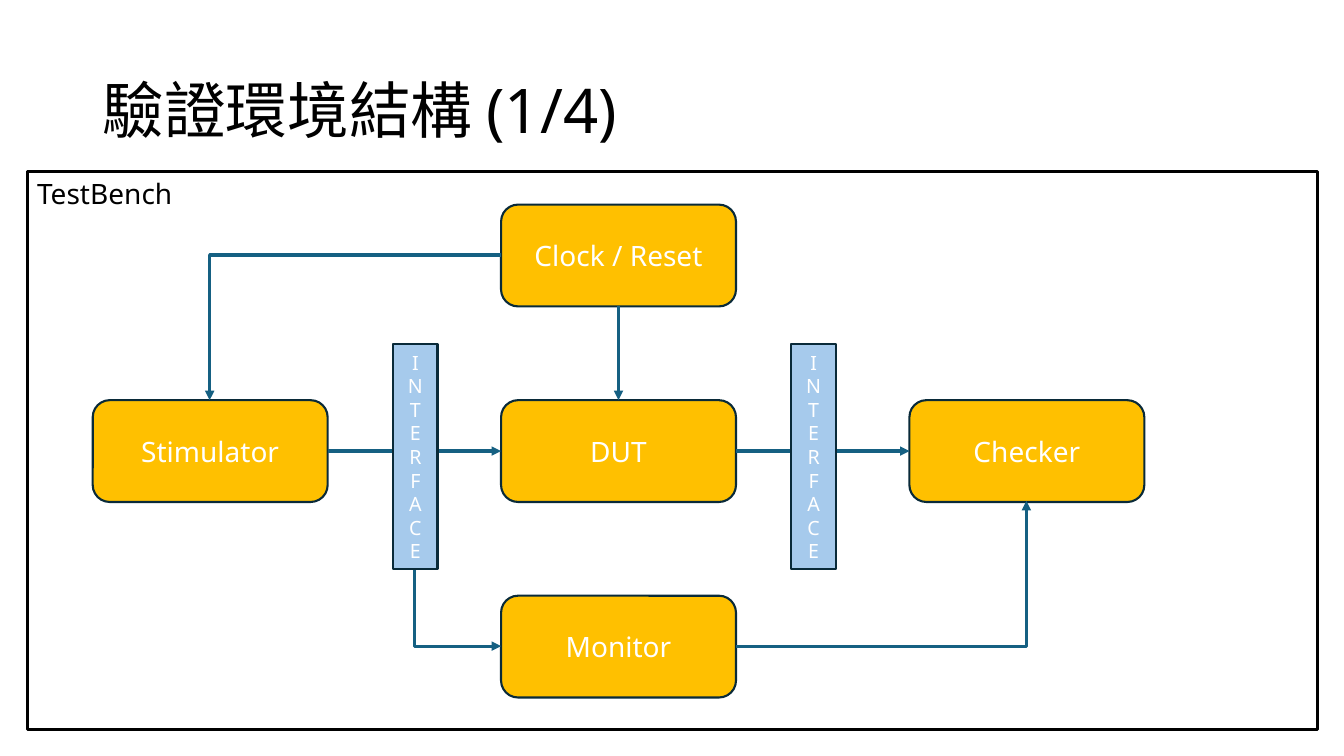
"""Build the slide on the structure of a verification environment."""
import pptx
import pptx.util
import pptx.dml.color
import pptx.enum.shapes
import pptx.enum.text
import pptx.oxml
import pptx.oxml.ns

Inches, Pt = pptx.util.Inches, pptx.util.Pt
RGB = pptx.dml.color.RGBColor.from_string
Kind = pptx.enum.shapes.MSO_SHAPE
Link = pptx.enum.shapes.MSO_CONNECTOR
Align, Anchor = pptx.enum.text.PP_ALIGN, pptx.enum.text.MSO_ANCHOR
Fit = pptx.enum.text.MSO_AUTO_SIZE

THEME = {
    "font": "Noto Sans", "black": "000000", "white": "FFFFFF",
    "block": "FFC000", "port": "A6CAEC", "edge": "092A39", "wire": "156082",
    "title": 44, "body": 20, "small": 14, "thick": 2.25, "thin": 1.5,
}

deck = pptx.Presentation()
deck.slide_width, deck.slide_height = Inches(13.33), Inches(7.5)
slide = deck.slides.add_slide(deck.slide_layouts[6])


def write(shape, text, size, color, align, anchor, fit=Fit.NONE):
    """Fill a shape with text in one format."""
    frame = shape.text_frame
    frame.text = text
    for name, value in {"word_wrap": True, "auto_size": fit,
                        "vertical_anchor": anchor}.items():
        setattr(frame, name, value)
    for para in frame.paragraphs:
        para.alignment = align
        font = para.runs[0].font
        for name, value in {"name": THEME["font"], "size": Pt(THEME[size])}.items():
            setattr(font, name, value)
        font.color.rgb = RGB(THEME[color])


def draw(kind, place, fill, edge, width):
    """Add a flat shape; no fill color leaves it clear."""
    shape = slide.shapes.add_shape(kind, *map(Inches, place))
    shape.shadow.inherit = False
    if fill:
        shape.fill.solid()
        shape.fill.fore_color.rgb = RGB(THEME[fill])
    else:
        shape.fill.background()
    shape.line.color.rgb = RGB(THEME[edge])
    shape.line.width = Pt(THEME[width])
    return shape


bench = draw(Kind.RECTANGLE, (0.27, 1.7, 12.8, 5.54), None, "black", "thick")
write(bench, "TestBench", "body", "black", Align.LEFT, Anchor.TOP)

title = slide.shapes.add_textbox(*map(Inches, (0.92, 0.4, 11.5, 1.45)))
write(title, "驗證環境結構 (1/4)", "title", "black", Align.LEFT, Anchor.MIDDLE)
title.text_frame.paragraphs[0].line_spacing = 0.9

left, top, step, rise = 0.92, 2.03, 4.05, 1.94
blocks = {}
for name, col, row in (("Clock / Reset", 1, 0), ("Stimulator", 0, 1), ("DUT", 1, 1),
                       ("Checker", 2, 1), ("Monitor", 1, 2)):
    place = (left + col * step, top + row * rise, 2.33, 1.01)
    blocks[name] = draw(Kind.ROUNDED_RECTANGLE, place, "block", "edge", "thin")
    write(blocks[name], name, "body", "white", Align.CENTER, Anchor.MIDDLE)

wires = []
for start, exit, stop, entry in (("Clock / Reset", 2, "DUT", 0),
                                 ("Stimulator", 3, "DUT", 1),
                                 ("DUT", 3, "Checker", 1)):
    wire = slide.shapes.add_connector(Link.STRAIGHT, 0, 0, 0, 0)
    wire.begin_connect(blocks[start], exit)
    wire.end_connect(blocks[stop], entry)
    wires.append(wire)

for ends, turn in (((5.51, 5.01, 3.57, 5.87), 270),
                   ((4.97, 2.53, 2.08, 3.97), 0),
                   ((7.3, 6.41, 10.18, 4.97), 0)):
    wire = slide.shapes.add_connector(Link.ELBOW, *map(Inches, ends))
    props = wire._element.spPr
    props.find(pptx.oxml.ns.qn("a:prstGeom")).set("prst", "bentConnector2")
    if turn:
        props.find(pptx.oxml.ns.qn("a:xfrm")).set("rot", str(turn * 60000))
    wires.append(wire)

for wire in wires:
    wire.line.color.rgb = RGB(THEME["wire"])
    wire.line.width = Pt(THEME["thick"])
    head = pptx.oxml.parse_xml(f'<a:tailEnd {pptx.oxml.ns.nsdecls("a")} type="triangle"/>')
    wire.line._get_or_add_ln().append(head)
    flat = pptx.oxml.parse_xml(f'<a:effectLst {pptx.oxml.ns.nsdecls("a")}/>')
    wire._element.spPr.append(flat)

for x in (3.9, 7.85):
    port = draw(Kind.RECTANGLE, (x, 3.41, 0.44, 2.24), "port", "edge", "thin")
    write(port, "\n".join("INTERFACE"), "small", "white", Align.CENTER,
          Anchor.MIDDLE, Fit.TEXT_TO_FIT_SHAPE)

deck.save("out.pptx")
